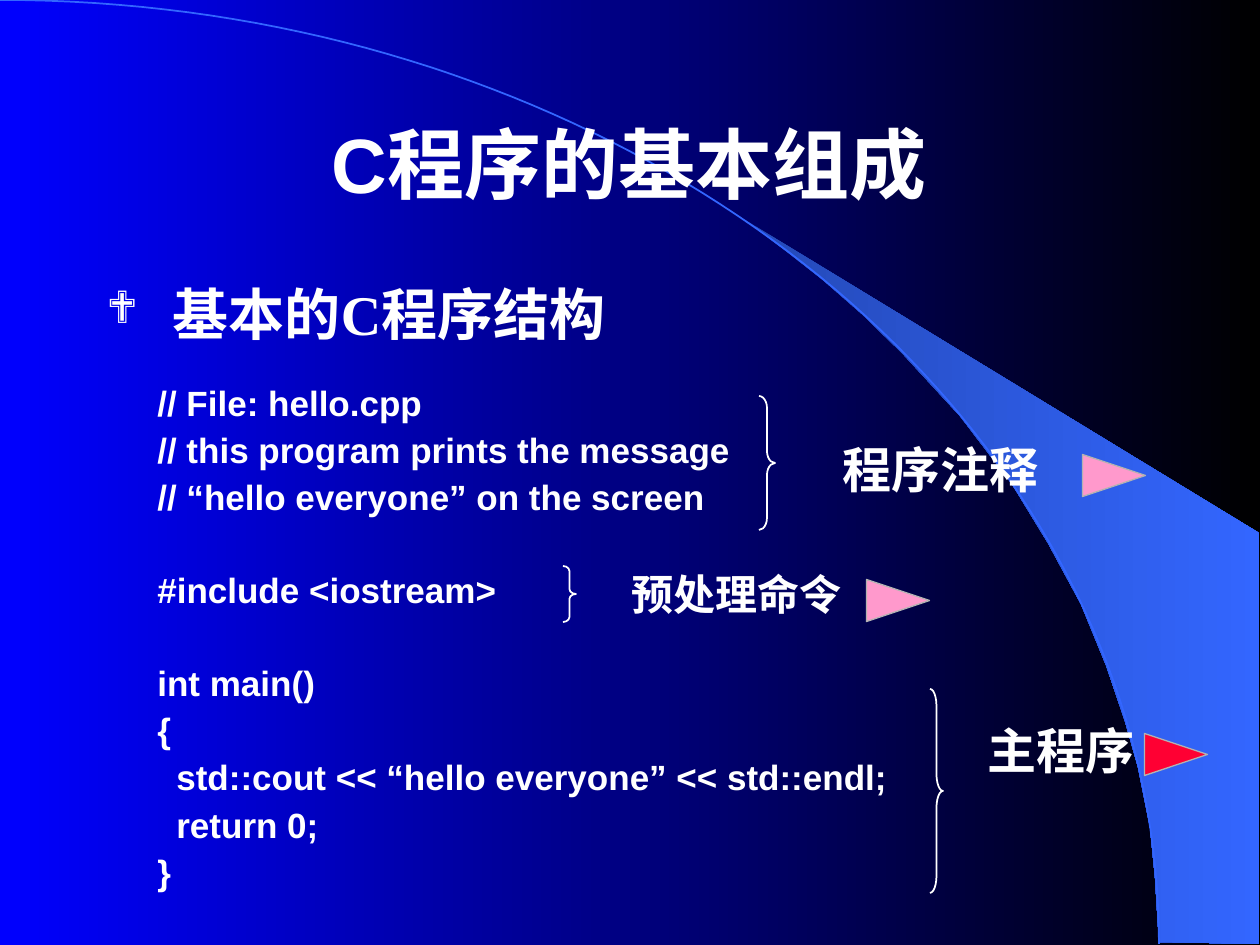
import pptx
import pptx.util
import pptx.dml.color
import pptx.enum.shapes
import pptx.enum.text
from lxml import etree

RGB = pptx.dml.color.RGBColor
WHITE, BLACK = RGB(255, 255, 255), RGB(0, 0, 0)
BLUE, ARC, DEEP = RGB(0, 0, 255), RGB(0x33, 0x66, 0xFF), RGB(0x24, 0x49, 0xB6)
PINK, RED, GREY = RGB(0xFF, 0x99, 0xCC), RGB(0xFF, 0, 0x33), RGB(0xB2, 0xB2, 0xB2)
SHAPE = pptx.enum.shapes.MSO_SHAPE
Pt = pptx.util.Pt

# Content; lengths in pixels, 126 to the inch
TITLE = "C程序的基本组成"
HEADING = "基本的C程序结构"
# Code groups: (indent, line)
CODE = [
    [(0, "// File: hello.cpp"),
     (0, "// this program prints the message"),
     (0, "// “hello everyone” on the screen")],
    [(0, "#include <iostream>")],
    [(0, "int main()"),
     (0, "{"),
     (19, "std::cout << “hello everyone” << std::endl;"),
     (19, "return 0;"),
     (0, "}")],
]
# Label, box, size, brace box, brace curl, marker left and top, marker colour
PARTS = [
    ("程序注释", (830, 433, 252, 72), 28, (759, 396, 16, 134), 0.75, (1093, 444), PINK),
    ("预处理命令", (619, 562, 311, 63), 24, (563, 566, 13, 56), 0.38, (877, 569), PINK),
    ("主程序", (975, 714, 213, 72), 28, (930, 689, 13, 204), 1.29, (1155, 723), RED),
]
SWOOSH = [(1159, 942), (1259, 944), (1259, 533), (742, 218), (786, 251), (823, 280),
          (863, 315), (902, 353), (960, 416), (1012, 484), (1048, 543), (1081, 604),
          (1106, 665), (1125, 721), (1138, 767), (1150, 827), (1155, 877)]
ARC_CURVE = [(0, 0), (640, 0), (1159, 422), (1159, 944)]


def px(n):
    return pptx.util.Emu(round(n * 914400 / 126))


def place(shape, box):
    shape.left, shape.top, shape.width, shape.height = map(px, box)


def style(p, size, font="Arial"):
    for r in p.runs:
        r.font.size, r.font.name, r.font.bold = Pt(size), font, True
        r.font.color.rgb = WHITE


def gradient(fill, *colors):
    fill.gradient()
    fill.gradient_angle = 0
    for position, (stop, color) in enumerate(zip(fill.gradient_stops, colors)):
        stop.position, stop.color.rgb = position, color


def bezier(curve, steps=80):
    for i in range(steps + 1):
        t = i / steps
        weights = ((1 - t) ** 3, 3 * t * (1 - t) ** 2, 3 * t * t * (1 - t), t ** 3)
        yield tuple(sum(w * c[axis] for w, c in zip(weights, curve)) for axis in (0, 1))


def outline(points, close):
    points = [(px(x), px(y)) for x, y in points]
    builder = s.shapes.build_freeform(*points[0])
    builder.add_line_segments(points[1:], close=close)
    shape = builder.convert_to_shape()
    shape.shadow.inherit = False
    title.element.addprevious(shape.element)
    return shape


def text_box(box):
    shape = s.shapes.add_textbox(*map(px, box))
    shape.text_frame.word_wrap = True
    return shape.text_frame


prs = pptx.Presentation()
prs.slide_width, prs.slide_height = px(1260), px(945)
s = prs.slides.add_slide(prs.slide_layouts[1])
title, body = s.shapes.title, s.placeholders[1]

# Background, swoosh and arc
gradient(s.background.fill, BLUE, BLACK)
swoosh = outline(SWOOSH, True)
gradient(swoosh.fill, DEEP, ARC)
swoosh.line.fill.background()
arc = outline(bezier(ARC_CURVE), False)
arc.fill.background()
arc.line.color.rgb, arc.line.width = ARC, Pt(1)

# Title and heading
for shape, box, text, size, font, anchor in (
        (title, (94, 84, 1071, 158), TITLE, 44, "Arial", "MIDDLE"),
        (body, (94, 273, 1071, 91), HEADING, 32, "Times New Roman", "TOP")):
    place(shape, box)
    tf = shape.text_frame
    tf.text = text
    tf.auto_size = pptx.enum.text.MSO_AUTO_SIZE.NONE
    tf.vertical_anchor = pptx.enum.text.MSO_ANCHOR[anchor]
    style(tf.paragraphs[0], size, font)
title.text_frame.paragraphs[0].alignment = pptx.enum.text.PP_ALIGN.CENTER
pPr = body.text_frame.paragraphs[0]._p.get_or_add_pPr()
pPr.set("marL", str(px(66)))
pPr.set("indent", str(-px(66)))
A = "{http://schemas.openxmlformats.org/drawingml/2006/main}"
etree.SubElement(etree.SubElement(pPr, A + "buClr"), A + "srgbClr", val=str(WHITE))
etree.SubElement(pPr, A + "buSzPct", val="80000")
etree.SubElement(pPr, A + "buFont", typeface="Wingdings")
etree.SubElement(pPr, A + "buChar", char="❖")

# Code, with a line's gap between groups
tf = text_box((145, 375, 944, 517))
p = None
for g, group in enumerate(CODE):
    for i, (indent, line) in enumerate(group):
        p = tf.add_paragraph() if p else tf.paragraphs[0]
        p.text = line
        p.space_before = Pt(29 if g and i == 0 else 3)
        if indent:
            p._p.get_or_add_pPr().set("marL", str(px(indent)))
        style(p, 20)

# Braces, labels and markers
for label, box, size, brace_box, curl, marker_at, color in PARTS:
    brace = s.shapes.add_shape(SHAPE.RIGHT_BRACE, *map(px, brace_box))
    brace.adjustments[0] = curl
    brace.shadow.inherit = False
    brace.fill.background()
    brace.line.color.rgb, brace.line.width = WHITE, Pt(1)

    tf = text_box(box)
    tf.text = label
    style(tf.paragraphs[0], size)

    marker = s.shapes.add_shape(SHAPE.ISOSCELES_TRIANGLE, *map(px, marker_at + (42, 63)))
    marker.rotation = 90
    marker.shadow.inherit = False
    marker.fill.solid()
    marker.fill.fore_color.rgb = color
    marker.line.color.rgb, marker.line.width = GREY, Pt(0.75)

prs.save("out.pptx")
